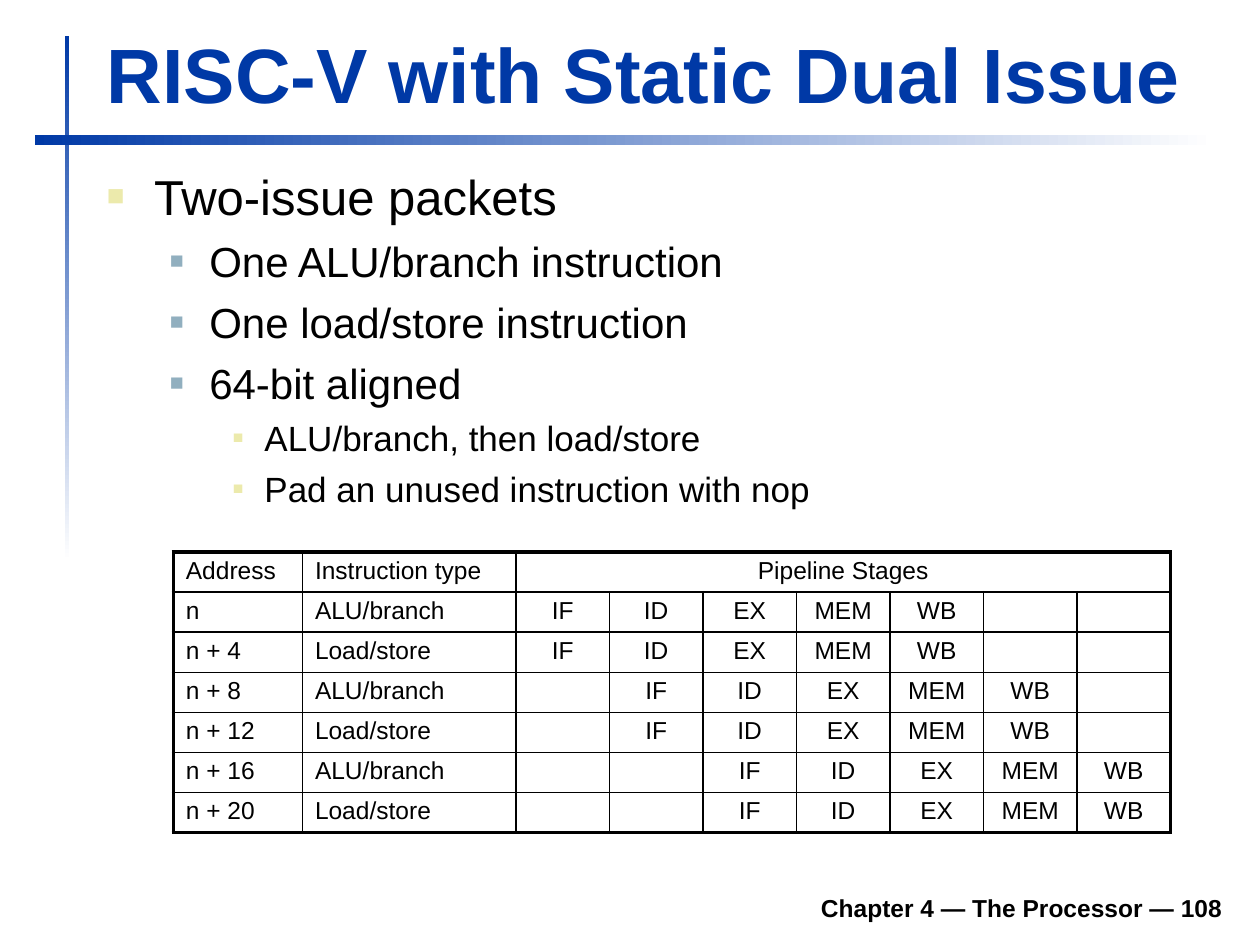
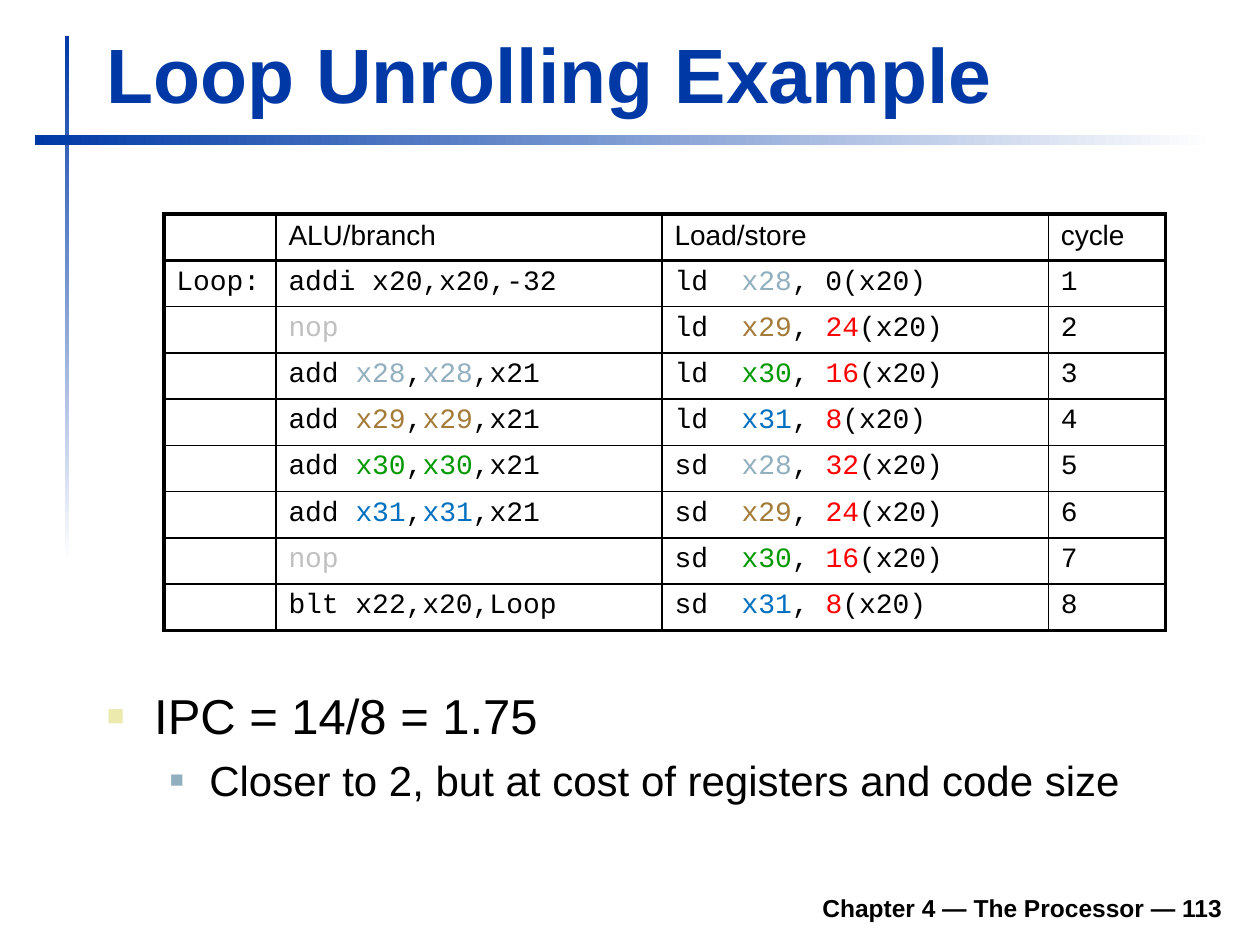
from lxml import etree
from pptx import Presentation
from pptx.dml.color import RGBColor
from pptx.enum.shapes import MSO_SHAPE
from pptx.enum.text import MSO_ANCHOR, PP_ALIGN
from pptx.oxml.ns import qn
from pptx.util import Inches, Pt

RECT = MSO_SHAPE.RECTANGLE
TOP, BASE = MSO_ANCHOR.TOP, MSO_ANCHOR.BOTTOM
LEFT, MID, RIGHT = PP_ALIGN.LEFT, PP_ALIGN.CENTER, PP_ALIGN.RIGHT

HUES = {
    "ink": "000000", "paper": "FFFFFF", "blue": "0039A6",
    "sand": "ECEAAC", "steel": "91AFBF", "grey": "C0C0C0", "red": "FF0000",
    "x28": "91AFBF", "x29": "A47B38", "x30": "009900", "x31": "0070C0",
}
SANS, MONO = "Arial", "Courier New"

# The slide is a grid of 40 columns by 30 rows
COLS, ROWS = 40, 30
UNIT = Inches(0.25)

# Per level: text size, left margin, hang (columns), bullet hue, bullet percent
LEVELS = [
    (28, 1.5, 1.5, "sand", 60),
    (24, 3.25, 1.25, "steel", 55),
    (20, 5, 1, "sand", 50),
]


def grid(n):
    return int(n * UNIT)


def place(box):
    return [grid(n) for n in box]


def tint(name):
    return RGBColor.from_string(HUES[name])


def node(up, tag, **attrs):
    item = etree.SubElement(up, qn(tag))
    for key, val in attrs.items():
        item.set(key, str(val))
    return item


def write(para, text, size=14, face=SANS, hue="ink", bold=False, align=LEFT):
    """Fill a paragraph with a string, or with (text, hue) pairs."""
    para.alignment = align
    parts = [(text, hue)] if isinstance(text, str) else text
    for words, shade in parts:
        if words:
            run = para.add_run()
            run.text = words
            run.font.size, run.font.name, run.font.bold = Pt(size), face, bold
            run.font.color.rgb = tint(shade)
    if not text:
        para._p.get_or_add_endParaRPr().set("sz", str(size * 100))


def frame(slide, box, anchor=TOP):
    area = slide.shapes.add_textbox(*place(box)).text_frame
    area.word_wrap = True
    area.vertical_anchor = anchor
    return area


# Shared parts
def bar(slide, box, angle):
    shape = slide.shapes.add_shape(RECT, *place(box))
    shape.shadow.inherit = False
    shape.line.fill.background()
    shape.fill.gradient()
    shape.fill.gradient_angle = angle
    for stop, hue in zip(shape.fill.gradient_stops, ("blue", "paper")):
        stop.color.rgb = tint(hue)


def base(deck, title, page):
    slide = deck.slides.add_slide(deck.slide_layouts[6])
    bar(slide, (2.06, 1.14, 0.14, 16.68), 270)
    bar(slide, (1.1, 4.28, 37.48, 0.32), 0)
    foot = frame(slide, (7.4, 27.92, 31.8, 1.56), BASE)
    write(foot.paragraphs[0], f"Chapter 4 — The Processor — {page}",
          bold=True, align=RIGHT)
    head = frame(slide, (3, 0.64, 36.12, 3.32), BASE)
    write(head.paragraphs[0], title, size=44, hue="blue", bold=True)
    return slide


def points(slide, box, items):
    area = frame(slide, box)
    area.margin_top = Inches(0.09)
    for i, (level, text) in enumerate(items):
        para = area.add_paragraph() if i else area.paragraphs[0]
        size, left, hang, hue, share = LEVELS[level]
        para.level = level
        props = para._p.get_or_add_pPr()
        props.set("marL", str(grid(left)))
        props.set("indent", str(-grid(hang)))
        node(node(props, "a:buClr"), "a:srgbClr", val=HUES[hue])
        node(props, "a:buSzPct", val=share * 1000)
        node(props, "a:buFont", typeface=SANS)
        node(props, "a:buChar", char="■")
        if i:
            para.space_before = Pt(size / 4)
        write(para, text, size=size)


# Tables: heavy outer edge, medium rule under the header, thin inner rules
def edges(cell, row, col, rows, cols):
    last = col + cell.span_width - 1 if cell.is_merge_origin else col
    widths = {
        "L": 2.25 if col == 0 else 1,
        "R": 2.25 if last == cols - 1 else 1,
        "T": {0: 2.25, 1: 1.5}.get(row, 1),
        "B": {0: 1.5, rows - 1: 2.25}.get(row, 1),
    }
    props = cell._tc.get_or_add_tcPr()
    for side, width in widths.items():
        line = node(props, f"a:ln{side}", w=int(Pt(width)))
        node(node(line, "a:solidFill"), "a:srgbClr", val=HUES["ink"])


def chart(slide, box, spans, data, style, pad=0.05, merge=None):
    """Draw a ruled table; style(row, col) gives the format of a cell."""
    rows, cols = len(data), len(spans)
    table = slide.shapes.add_table(rows, cols, *place(box)).table
    table.first_row = table.horz_banding = False
    for col, span in zip(table.columns, spans):
        col.width = grid(span)
    for row in table.rows:
        row.height = grid(box[3] / rows)
    if merge:
        table.cell(0, merge).merge(table.cell(0, cols - 1))
    for r, line in enumerate(data):
        for c, text in enumerate(line):
            cell = table.cell(r, c)
            if cell.is_spanned:
                continue
            edges(cell, r, c, rows, cols)
            cell.fill.background()
            cell.margin_top = cell.margin_bottom = Inches(pad)
            write(cell.text_frame.paragraphs[0], text, **style(r, c))


# Dual issue slide
def issue(deck):
    slide = base(deck, "RISC-V with Static Dual Issue", 108)
    points(slide, (3, 4.92, 36.2, 12.08), [
        (0, "Two-issue packets"),
        (1, "One ALU/branch instruction"),
        (1, "One load/store instruction"),
        (1, "64-bit aligned"),
        (2, "ALU/branch, then load/store"),
        (2, "Pad an unused instruction with nop"),
    ])
    stages = ["IF", "ID", "EX", "MEM", "WB"]
    data = [["Address", "Instruction type", "Pipeline Stages"] + [""] * 6]
    for i in range(6):
        wait = i // 2
        data.append([f"n + {4 * i}" if i else "n",
                     "Load/store" if i % 2 else "ALU/branch",
                     *[""] * wait, *stages, *[""] * (2 - wait)])
    chart(slide, (5.5, 17.52, 31.64, 8.92), [4.1, 6.78] + [2.97] * 7, data,
          lambda r, c: {"size": 14, "align": MID if c > 1 else LEFT},
          pad=0.04, merge=2)


# Loop unrolling slide
def add(reg):
    return [("add ", "ink"), (reg, reg), (",", "ink"), (reg, reg),
            (",x21", "ink")]


def move(code, reg, shift):
    return [(f"{code}  ", "ink"), (reg, reg), (", ", "ink"),
            (shift, "ink" if shift == "0" else "red"), ("(x20)", "ink")]


def unroll(deck):
    slide = base(deck, "Loop Unrolling Example", 113)
    points(slide, (3, 21.4, 36.2, 5.88), [
        (0, "IPC = 14/8 = 1.75"),
        (1, "Closer to 2, but at cost of registers and code size"),
    ])
    regs = ["x28", "x29", "x30", "x31"]
    idle = [("nop", "grey")]
    left = ["addi x20,x20,-32", idle, *map(add, regs), idle,
            "blt x22,x20,Loop"]
    right = [move("ld", *pair) for pair in zip(regs, ["0", "24", "16", "8"])]
    right += [move("sd", *pair) for pair in zip(regs, ["32", "24", "16", "8"])]
    data = [["", "ALU/branch", "Load/store", "cycle"]]
    for i, (alu, mem) in enumerate(zip(left, right), 1):
        data.append(["Loop:" if i == 1 else "", alu, mem, str(i)])
    chart(slide, (5.2, 6.8, 31.8, 13.2), [3.56, 12.26, 12.26, 3.72], data,
          lambda r, c: {"size": 16, "face": MONO if r else SANS})


def main():
    deck = Presentation()
    deck.slide_width, deck.slide_height = grid(COLS), grid(ROWS)
    issue(deck)
    unroll(deck)
    deck.save("out.pptx")


if __name__ == "__main__":
    main()
